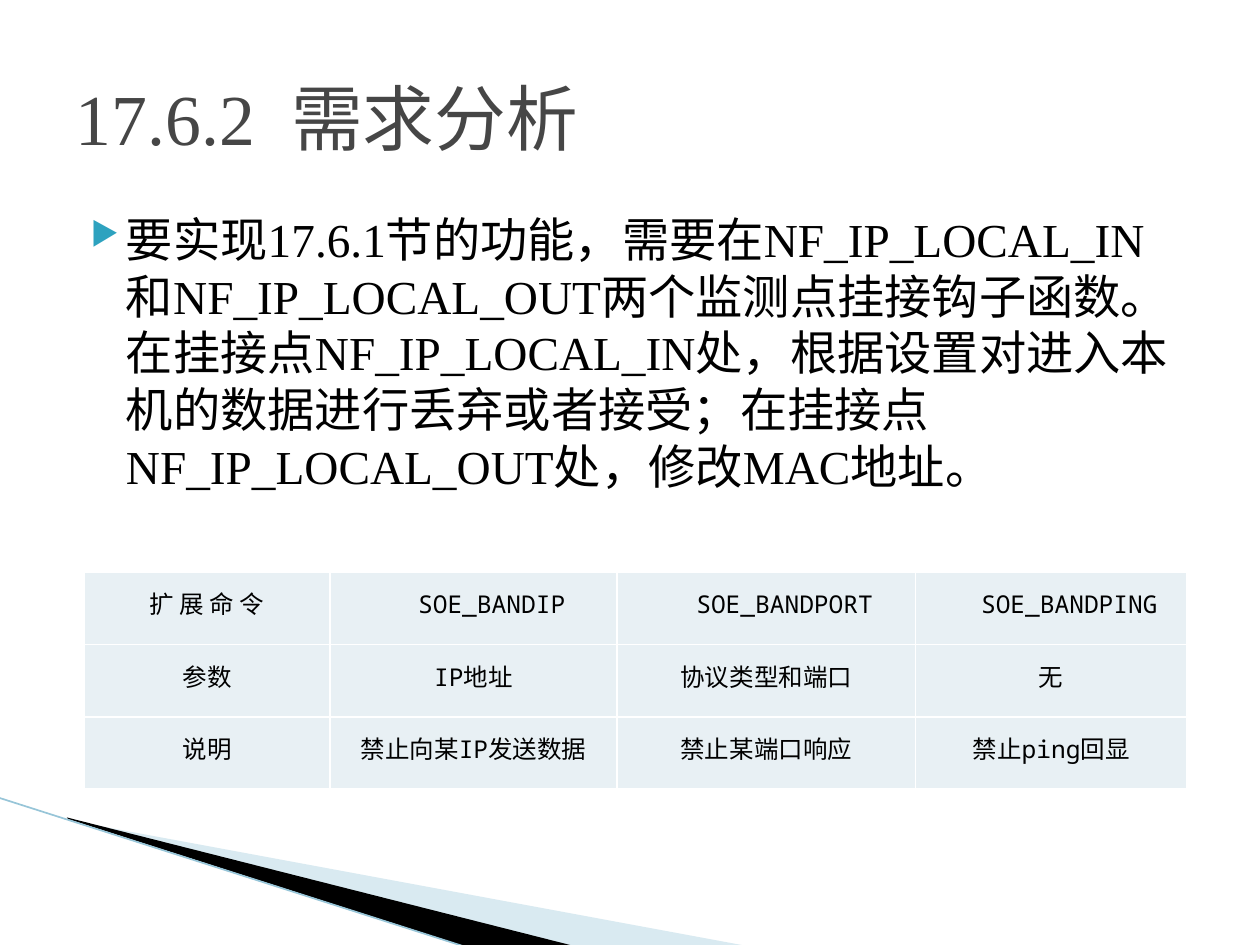
from lxml import etree
from pptx import Presentation
from pptx.dml.color import RGBColor
from pptx.enum.shapes import MSO_CONNECTOR
from pptx.enum.text import MSO_ANCHOR, MSO_AUTO_SIZE, PP_ALIGN
from pptx.oxml import parse_xml
from pptx.oxml.ns import nsdecls, qn
from pptx.util import Cm, Pt

MID, TOP = MSO_ANCHOR.MIDDLE, MSO_ANCHOR.TOP
LEFT, CENTER = PP_ALIGN.LEFT, PP_ALIGN.CENTER
SERIF, MONO = "Times New Roman", "Noto Sans Mono"

BODY = ("要实现17.6.1节的功能，需要在NF_IP_LOCAL_IN和NF_IP_LOCAL_OUT两个监测点挂接钩子函数。"
        "在挂接点NF_IP_LOCAL_IN处，根据设置对进入本机的数据进行丢弃或者接受；"
        "在挂接点NF_IP_LOCAL_OUT处，修改MAC地址。")
ROWS = [
    ["扩 展 命 令", "SOE_BANDIP", "SOE_BANDPORT", "SOE_BANDPING"],
    ["参数", "IP地址", "协议类型和端口", "无"],
    ["说明", "禁止向某IP发送数据", "禁止某端口响应", "禁止ping回显"],
]
COLS = [4.95, 5.79, 6.02, 5.46]


def color(code):
    return RGBColor.from_string(code)


def apply(obj, form):
    for key, val in form.items():
        setattr(obj, key, val)


def write(frame, text, size, face, ink, **form):
    para = frame.paragraphs[0]
    apply(para, form)
    run = para.add_run()
    run.text = text
    apply(run.font, {"size": Pt(size), "name": face})
    run.font.color.rgb = color(ink)
    return para


def place(shape, box):
    apply(shape, dict(zip(("left", "top", "width", "height"), map(Cm, box))))


# Corner wedges and the thin line above them
def add_wedge(slide, pts, fill, alpha=None):
    pts = [(Cm(x), Cm(y)) for x, y in pts]
    build = slide.shapes.build_freeform(*pts[0], scale=1.0)
    build.add_line_segments(pts[1:], close=True)
    wedge = build.convert_to_shape()
    wedge.shadow.inherit = False
    wedge.fill.solid()
    wedge.fill.fore_color.rgb = color(fill)
    wedge.line.fill.background()
    if alpha:
        tint = wedge.fill._xPr.find(".//" + qn("a:srgbClr"))
        etree.SubElement(tint, qn("a:alpha"), val=str(alpha * 1000))


def add_corner(slide, left, top):
    def shift(*pts):
        return [(left + x, top + y) for x, y in pts]

    add_wedge(slide, shift((1.4, 0.46), (15.11, 3), (11.58, 3), (1.4, 0.43)),
              "A0CBDC", 40)
    add_wedge(slide, shift((1.35, 0.4), (11.61, 3), (9.45, 3.02), (1.37, 0.43)),
              "000000")
    ends = [Cm(v) for pt in shift((-0.03, 0), (9.42, 3.02)) for v in pt]
    line = slide.shapes.add_connector(MSO_CONNECTOR.STRAIGHT, *ends)
    line.line.width = Pt(0.95)
    line.line.color.rgb = color("97C5D8")
    etree.SubElement(line._element.spPr, qn("a:effectLst"))


# Title placeholder
def add_title(slide, box):
    title = slide.shapes.title
    place(title, box)
    apply(title.text_frame, {"vertical_anchor": MID, "word_wrap": True,
                             "auto_size": MSO_AUTO_SIZE.NONE})
    write(title.text_frame, "17.6.2  需求分析", 41, SERIF, "464646",
          alignment=LEFT)


# Bulleted paragraph
def add_body(slide, box):
    frame = slide.shapes.add_textbox(*map(Cm, box)).text_frame
    apply(frame, {"word_wrap": True, "vertical_anchor": TOP})
    para = write(frame, BODY, 27, SERIF, "000000",
                 alignment=LEFT, space_before=Pt(4))
    props = para._p.get_or_add_pPr()
    props.set("marL", str(Cm(1.02)))
    props.set("indent", str(Cm(-0.71)))
    tint = etree.SubElement(props, qn("a:buClr"))
    etree.SubElement(tint, qn("a:srgbClr"), val="2DA2BF")
    etree.SubElement(props, qn("a:buSzPct"), val="68000")
    etree.SubElement(props, qn("a:buChar"), char="▶")


# Command table
def fill_cell(cell, text, indent):
    apply(cell, {"vertical_anchor": MID, "margin_left": Cm(0.18),
                 "margin_right": Cm(0.18), "margin_top": 0, "margin_bottom": 0})
    para = write(cell.text_frame, text, 14, MONO, "000000", alignment=CENTER,
                 line_spacing=Pt(14.5), space_before=Pt(1), space_after=Pt(1.2))
    if indent:
        para._p.get_or_add_pPr().set("indent", str(Cm(0.74)))
    props = cell._tc.get_or_add_tcPr()
    for side in "LRTB":
        props.append(parse_xml(
            f'<a:ln{side} {nsdecls("a")} w="{Pt(1)}"><a:solidFill>'
            f'<a:srgbClr val="FFFFFF"/></a:solidFill></a:ln{side}>'))
    cell.fill.solid()
    cell.fill.fore_color.rgb = color("E8F0F4")


def add_grid(slide, left, top, high):
    table = slide.shapes.add_table(
        len(ROWS), len(COLS), Cm(left), Cm(top),
        Cm(sum(COLS)), Cm(high * len(ROWS))).table
    for col, wide in zip(table.columns, COLS):
        col.width = Cm(wide)
    for r, row in enumerate(ROWS):
        table.rows[r].height = Cm(high)
        for c, text in enumerate(row):
            fill_cell(table.cell(r, c), text, r == 0 and c > 0)


deck = Presentation()
apply(deck, {"slide_width": Cm(25.4), "slide_height": Cm(19.05)})
page = deck.slides.add_slide(deck.slide_layouts[5])
add_corner(page, 0, 16.08)
add_title(page, (1.27, 0.76, 22.86, 3.18))
add_body(page, (1.27, 4.11, 22.86, 12.57))
add_grid(page, 1.7, 11.53, 1.46)
deck.save("out.pptx")
